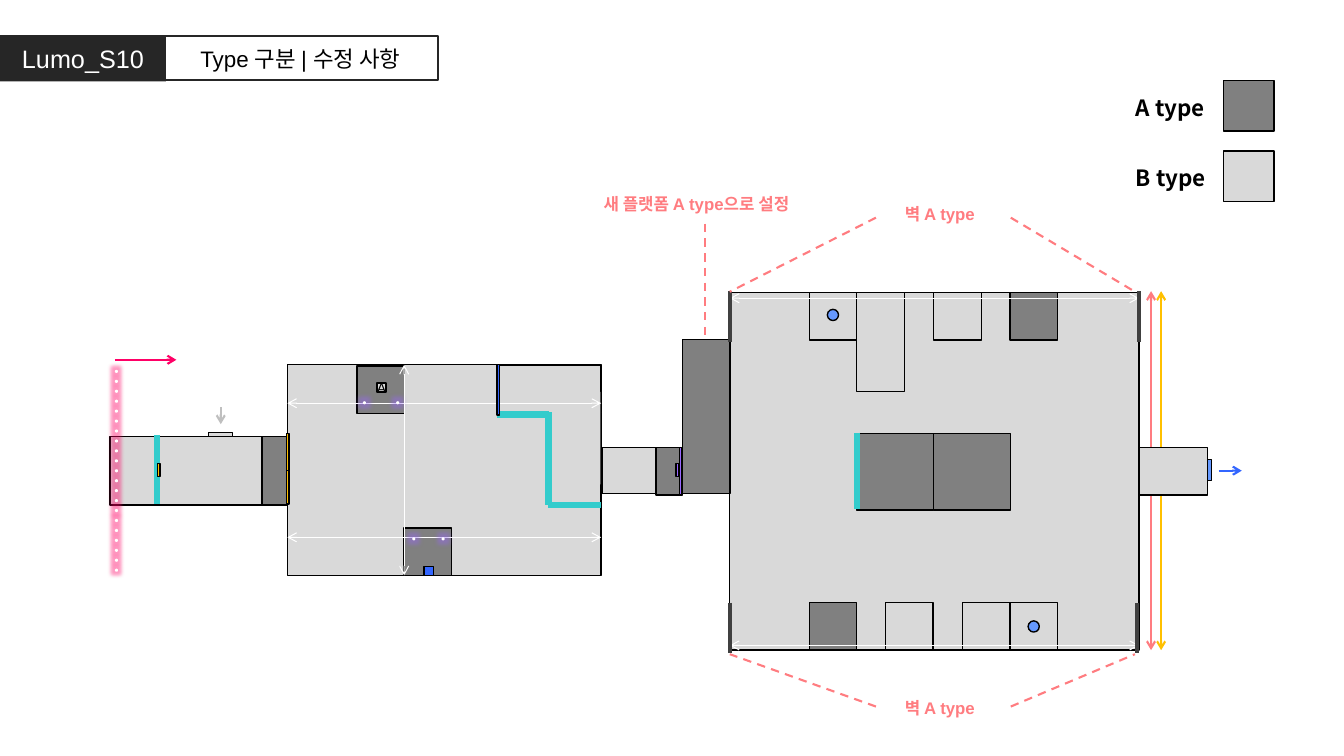
from lxml import etree
from pptx import Presentation
from pptx.dml.color import RGBColor
from pptx.enum.dml import MSO_LINE
from pptx.enum.shapes import MSO_CONNECTOR, MSO_SHAPE
from pptx.enum.text import MSO_ANCHOR, MSO_AUTO_SIZE, PP_ALIGN
from pptx.oxml.ns import qn
from pptx.util import Pt

RECT, OVAL = MSO_SHAPE.RECTANGLE, MSO_SHAPE.OVAL
STRAIGHT, DASH = MSO_CONNECTOR.STRAIGHT, MSO_LINE.DASH
LEFT, CENTER = PP_ALIGN.LEFT, PP_ALIGN.CENTER
MIDDLE, TOP, NO_FIT = MSO_ANCHOR.MIDDLE, MSO_ANCHOR.TOP, MSO_AUTO_SIZE.NONE

BLACK = RGBColor(0x00, 0x00, 0x00)
WHITE = RGBColor(0xFF, 0xFF, 0xFF)
INK = RGBColor(0x26, 0x26, 0x26)
WALL = RGBColor(0x40, 0x40, 0x40)
A_TYPE = RGBColor(0x80, 0x80, 0x80)
B_TYPE = RGBColor(0xD9, 0xD9, 0xD9)
SILVER = RGBColor(0xBF, 0xBF, 0xBF)
CORAL = RGBColor(0xFF, 0x7C, 0x80)
PINK = RGBColor(0xFF, 0x00, 0x66)
AMBER = RGBColor(0xFF, 0xC0, 0x00)
TEAL = RGBColor(0x33, 0xCC, 0xCC)
BLUE = RGBColor(0x33, 0x66, 0xFF)
SKY = RGBColor(0x66, 0x99, 0xFF)
VIOLET = RGBColor(0x99, 0x66, 0xFF)

TILE = 34
HALL_L, HALL_T, HALL_R, HALL_B = 521.3, 209, 813.6, 464.4
ROOM_L, ROOM_T, ROOM_R, ROOM_B = 205.2, 260.6, 429.4, 411
CORRIDOR_T = 319.7


class MapSlide:
    def __init__(self, slide, font="Arial"):
        self.slide, self.shapes, self.font = slide, slide.shapes, font

    def set_text(self, shape, text, size, color=BLACK, align=CENTER, bold=False,
                 anchor=MIDDLE, inset=7.2, wrap=True, font=None):
        frame = shape.text_frame
        frame.text = text
        frame.word_wrap, frame.auto_size = wrap, NO_FIT
        frame.vertical_anchor = anchor
        frame.margin_left = frame.margin_right = Pt(inset)
        frame.margin_top = frame.margin_bottom = Pt(inset / 2)
        paragraph = frame.paragraphs[0]
        paragraph.alignment = align
        style = paragraph.runs[0].font
        style.name, style.size, style.bold = font or self.font, Pt(size), bold
        style.color.rgb = color

    def title(self, text, x, y, w, h):
        title = self.shapes.title
        title.left, title.top, title.width, title.height = map(Pt, (x, y, w, h))
        title.line.color.rgb, title.line.width = INK, Pt(1.5)
        self.set_text(title, text, 16)

    def block(self, x, y, w, h, fill=B_TYPE, kind=RECT, outline=True):
        block = self.shapes.add_shape(kind, Pt(x), Pt(y), Pt(w), Pt(h))
        block.shadow.inherit = False
        block.fill.solid()
        block.fill.fore_color.rgb = fill
        if outline:
            block.line.color.rgb, block.line.width = BLACK, Pt(1)
        else:
            block.line.fill.background()
        return block

    def light(self, x, y, color, radius, opacity):
        bulb = self.block(x, y, 2.2, 2.2, WHITE, OVAL, outline=False)
        effects = bulb._element.spPr.find(qn("a:effectLst"))
        glow = etree.SubElement(effects, qn("a:glow"), rad=str(Pt(radius)))
        tint = etree.SubElement(glow, qn("a:srgbClr"), val=str(color))
        etree.SubElement(tint, qn("a:alpha"), val=str(opacity * 1000))

    def line(self, x1, y1, x2, y2, color, width=1.5, heads=(), dash=None):
        line = self.shapes.add_connector(STRAIGHT, Pt(x1), Pt(y1), Pt(x2), Pt(y2))
        line.line.color.rgb, line.line.width = color, Pt(width)
        if dash:
            line.line.dash_style = dash
        outline = line._element.spPr.find(qn("a:ln"))
        for end in heads:
            etree.SubElement(outline, qn("a:" + end), type="arrow")
        etree.SubElement(line._element.spPr, qn("a:effectLst"))

    def arrow(self, x1, y1, x2, y2, color, width=1.5):
        self.line(x1, y1, x2, y2, color, width, ("tailEnd",))

    def span(self, x1, y1, x2, y2, color=WHITE, width=0.75):
        self.line(x1, y1, x2, y2, color, width, ("headEnd", "tailEnd"))

    def label(self, text, x, y, w, h, size=12, color=CORAL, align=CENTER, font=None):
        box = self.shapes.add_textbox(Pt(x), Pt(y), Pt(w), Pt(h))
        self.set_text(box, text, size, color, align, True, TOP, font=font)


deck = Presentation()
deck.slide_width, deck.slide_height = Pt(960), Pt(540)
level = MapSlide(deck.slides.add_slide(deck.slide_layouts[5]))

# Heading
level.title("Type 구분 | 수정 사항", 116, 26, 197, 31.5)
project = level.block(0, 25.2, 118.5, 33, INK, outline=False)
level.set_text(project, "Lumo_S10", 18, WHITE)

# Legend
for row, (name, fill) in enumerate((("A type", A_TYPE), ("B type", B_TYPE))):
    top = 57.6 + row * 50.4
    level.block(874, top, 36, 36, fill)
    level.label(name, 804.2, top + 5.8, 77, 26.6, 16, BLACK, LEFT, "Noto Sans CJK KR")

# Corridor between the rooms
level.block(430, CORRIDOR_T, 57, 33)
level.block(468.7, CORRIDOR_T, 18.5, TILE, A_TYPE)

# Main hall
level.block(HALL_L, HALL_T, HALL_R - HALL_L, HALL_B - HALL_T)
level.block(483, 331, 2, 9.4, VIOLET)
level.block(485.3, CORRIDOR_T, 2, TILE, VIOLET)
for x, height, fill in ((578, TILE, B_TYPE), (612, 70.5, B_TYPE),
                        (667, TILE, B_TYPE), (721.5, TILE, A_TYPE)):
    level.block(x, HALL_T, TILE, height, fill)
for x, fill in ((578, A_TYPE), (632.6, B_TYPE), (687.4, B_TYPE), (721.5, B_TYPE)):
    level.block(x, HALL_B - TILE, TILE, TILE, fill)
for x in (612, 667):
    level.block(x, 309.6, 54.7, 54.7, A_TYPE)
for y in (213, 461):
    level.span(HALL_L, y, HALL_R, y)
for x, color in ((829.4, AMBER), (822.2, CORAL)):
    level.span(x, HALL_B, x, 208, color, 1.5)
for x, y in ((591, 221), (734.4, 443.5)):
    level.block(x, y, 8, 8, SKY, OVAL)
level.line(612, 309, 612, 363.6, TEAL, 4.5)

# Exit
level.block(HALL_R, CORRIDOR_T, 49, TILE)
level.block(862.6, 328.3, 3, 15, SKY)
level.arrow(870.5, 336.2, 887, 336.2, BLUE)

# Middle room and start corridor
level.block(ROOM_L, ROOM_T, ROOM_R - ROOM_L, ROOM_B - ROOM_T)
level.block(78.5, 311.8, 126, 49)
level.block(149, 309, 17.3, 3)
level.line(112.3, 311, 112.3, 360, TEAL, 4.5)
level.block(112.3, 331, 2, 9.4, AMBER)
level.arrow(82, 257, 126, 257, PINK)
level.arrow(157.7, 291, 157.7, 303, SILVER)
for y in (333.4, 309.6):
    level.block(204.5, y, 2, 26.6, AMBER)
level.block(255, 261.4, TILE, TILE, A_TYPE)
level.block(288.7, 377, TILE, TILE, A_TYPE)
level.block(187.2, 311.8, 17.3, 49, A_TYPE)

# Moving light wall
for step in range(21):
    level.light(82.1, 264.2 + step * 7.1, PINK, 5, 40)

# Raised corner of the middle room
level.block(355, 261.2, 74.4, TILE)
level.block(392.4, 294.5, 37, 66)
level.block(393, 280, 35.8, 66, outline=False)
for y in (288, 383.8):
    level.span(ROOM_L, y, ROOM_R, y)
for x, y in ((259.2, 286.6), (283, 286.6), (294.5, 383.8), (315.4, 383.8)):
    level.light(x, y, VIOLET, 6, 40)
level.span(288.7, ROOM_T, 288.7, ROOM_B)
for edge in ((355, 296, 392.4, 296), (391.7, 294.5, 391.7, 360.7),
             (391.7, 360.7, ROOM_R, 360.7)):
    level.line(*edge, TEAL, 4.5)
level.block(303, 404.6, 6.5, 6.5, BLUE)
level.block(355, ROOM_T, 2, 36, BLUE)
marker = level.block(269.3, 273.6, 6.5, 6.5)
level.set_text(marker, "A", 10, inset=0, wrap=False)

# New platform
level.block(487.4, 242.6, TILE, 110, A_TYPE)
level.line(503.3, 159.8, 503.3, 242, CORAL, dash=DASH)
level.label("새 플랫폼 A type으로 설정", 424, 134.6, 166.3, 21.6, align=LEFT)

# Walls set to A type
for x, y in ((HALL_L, 208), (HALL_L, 430.5), (HALL_R, 208), (812.2, 430.5)):
    level.line(x, y, x, y + 36, WALL, 3)
for label_y, outer_y, wall_y in ((141.8, 155.5, 208.4), (494.6, 504.7, 467.3)):
    level.line(625.7, outer_y, HALL_L, wall_y, CORAL, dash=DASH)
    level.line(722, outer_y, 810.7, wall_y, CORAL, dash=DASH)
    level.label("벽 A type", 588.2, label_y, 166.3, 21.6)

deck.save("out.pptx")
